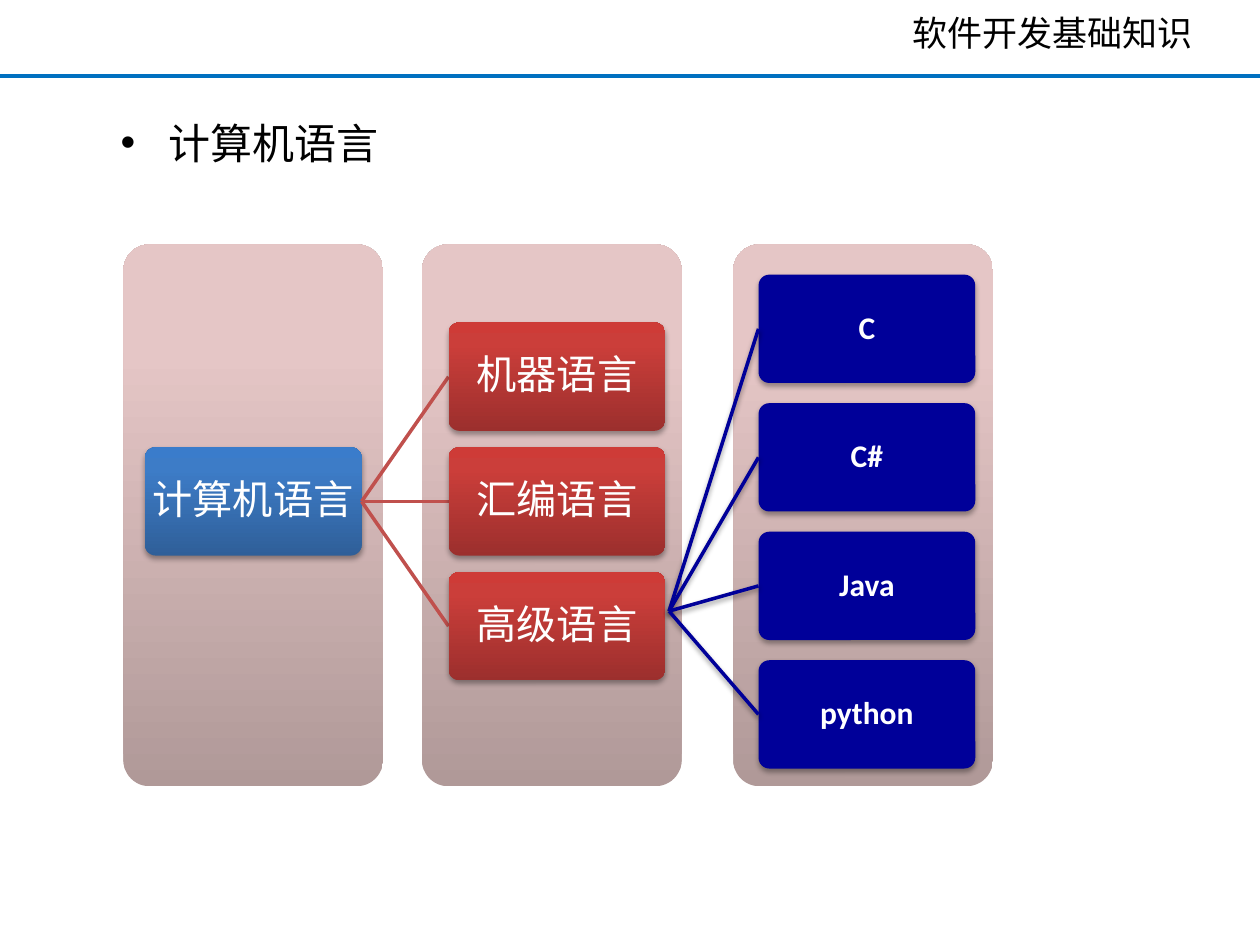
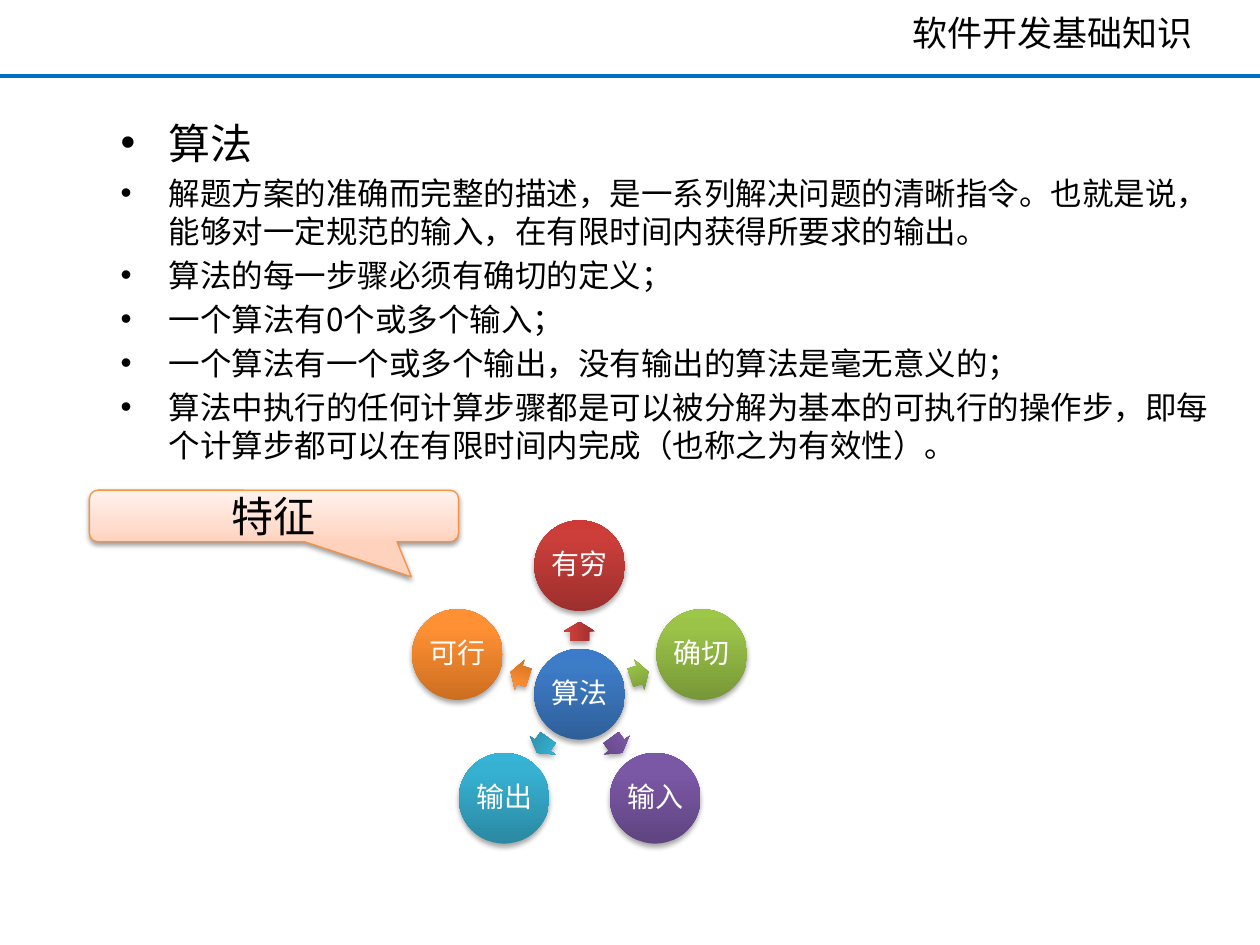
import copy
import math

import lxml.etree
import pptx
import pptx.dml.color
import pptx.enum.shapes
import pptx.enum.text
import pptx.oxml.ns
import pptx.util

Inches = pptx.util.Inches
Pt = pptx.util.Pt
RGBColor = pptx.dml.color.RGBColor
Shape = pptx.enum.shapes.MSO_SHAPE
Align = pptx.enum.text.PP_ALIGN
Anchor = pptx.enum.text.MSO_ANCHOR
qn = pptx.oxml.ns.qn

BLACK = RGBColor(0x00, 0x00, 0x00)
WHITE = RGBColor(0xFF, 0xFF, 0xFF)
RULE_BLUE = RGBColor(0x00, 0x70, 0xC0)
NAVY = RGBColor(0x00, 0x00, 0x99)
BRICK = RGBColor(0xC0, 0x50, 0x4D)
CALLOUT_EDGE = RGBColor(0xF6, 0x92, 0x40)


def gradient(start, middle, end, turn=80):
    return [(position / 100, RGBColor.from_string(color))
            for position, color in ((0, start), (turn, middle), (100, end))]


PANEL = gradient("B09998", "E5C6C6", "E6C7C6")
BLUE = gradient("2F5F99", "3D7CC7", "3A7CCB")
RED = gradient("9C2F2D", "CB3E3A", "CE3B37")
GREEN = gradient("779737", "9BC348", "9DC746")
PURPLE = gradient("5F4480", "7B58A6", "7C57A8")
TEAL = gradient("2A88A2", "37B1D2", "34B4D6")
ORANGE = gradient("CC6E20", "FF9034", "FF9136")
PEACH = gradient("FFD2BD", "FFDED0", "FFF2ED", turn=35)

CARD_SHADOW = (35, 1.8)
EDGE_SHADOW = (38, 1.6)
CARD_WIDTH, CARD_HEIGHT = 1.72, 0.86
TITLE = "软件开发基础知识"
LATIN_FONT = "Calibri"
CHINESE_FONT = "Noto Sans CJK SC"


class Lecture:
    """Holds the shared style and the page being drawn."""

    def __init__(self):
        self.deck = pptx.Presentation()
        self.deck.slide_width, self.deck.slide_height = Inches(10), Inches(7.5)
        self.page = None

    def new_page(self):
        self.page = self.deck.slides.add_slide(self.deck.slide_layouts[6])
        self.line((0, 0.6), (10, 0.6), RULE_BLUE, 2.25)
        frame = self.text_box(6.89, 0.04, 3.11, 0.44)
        frame.margin_left = Inches(0.35)
        self.set_text(frame.paragraphs[0], TITLE, 20)

    def text_box(self, left, top, width, height):
        box = self.page.shapes.add_textbox(
            Inches(left), Inches(top), Inches(width), Inches(height))
        box.text_frame.word_wrap = True
        return box.text_frame

    def set_text(self, para, text, size, color=BLACK, name=CHINESE_FONT, bold=False):
        para.text = text
        font = para.font
        font.name, font.size, font.bold = name, Pt(size), bold
        font.color.rgb = color
        lxml.etree.SubElement(para._p.pPr.find(qn("a:defRPr")), qn("a:ea"),
                              typeface=CHINESE_FONT)

    def bullets(self, heading, points=()):
        frame = self.text_box(0.86, 0.88, 9, 0.74)
        for index, text in enumerate([heading, *points]):
            para = frame.add_paragraph() if index else frame.paragraphs[0]
            para.space_before = Pt(3.6 if index else 6.8)
            properties = para._p.get_or_add_pPr()
            properties.set("marL", str(Inches(0.38)))
            properties.set("indent", str(-Inches(0.38)))
            lxml.etree.SubElement(properties, qn("a:buFont"), typeface="Arial")
            lxml.etree.SubElement(properties, qn("a:buChar"), char="•")
            self.set_text(para, text, 18 if index else 24)

    def set_shadow(self, item, shadow):
        effects = lxml.etree.SubElement(item._element.spPr, qn("a:effectLst"))
        if shadow:
            opacity, distance = shadow
            outer = lxml.etree.SubElement(
                effects, qn("a:outerShdw"), blurRad=str(Pt(3.1)),
                dist=str(Pt(distance)), dir="5400000", rotWithShape="0")
            color = lxml.etree.SubElement(outer, qn("a:srgbClr"), val=str(BLACK))
            lxml.etree.SubElement(color, qn("a:alpha"), val=str(opacity * 1000))

    def line(self, start, end, color, width=2, shadow=None):
        connector = self.page.shapes.add_connector(
            pptx.enum.shapes.MSO_CONNECTOR.STRAIGHT,
            *(Inches(value) for value in (*start, *end)))
        connector.line.color.rgb = color
        connector.line.width = Pt(width)
        self.set_shadow(connector, shadow)

    def paint(self, shape, fill):
        if isinstance(fill, RGBColor):
            shape.fill.solid()
            shape.fill.fore_color.rgb = fill
            return
        shape.fill.gradient()
        shape.fill.gradient_angle = 90
        first = shape._element.spPr.find(".//" + qn("a:gs"))
        first.addnext(copy.deepcopy(first))
        for stop, (position, color) in zip(shape.fill.gradient_stops, fill):
            stop.position = position
            stop.color.rgb = color

    def shape(self, kind, left, top, width, height, fill, adjustments=(),
              edge=None, shadow=CARD_SHADOW):
        shape = self.page.shapes.add_shape(
            kind, Inches(left), Inches(top), Inches(width), Inches(height))
        for index, value in enumerate(adjustments):
            shape.adjustments[index] = value
        self.paint(shape, fill)
        if edge:
            shape.line.color.rgb = edge
            shape.line.width = Pt(0.75)
        else:
            shape.line.fill.background()
        self.set_shadow(shape, shadow)
        return shape

    def label(self, shape, text, size, color=WHITE, name=LATIN_FONT, bold=False,
              margin=0.02, spacing=0.9):
        frame = shape.text_frame
        frame.word_wrap = True
        frame.vertical_anchor = Anchor.MIDDLE
        frame.margin_left = frame.margin_right = Inches(margin)
        frame.margin_top = frame.margin_bottom = Inches(0.02)
        para = frame.paragraphs[0]
        para.alignment = Align.CENTER
        para.line_spacing = spacing
        self.set_text(para, text, size, color, name, bold)

    def panel(self, left):
        self.shape(Shape.ROUNDED_RECTANGLE, left, 1.94, 2.06, 4.3, PANEL, [0.1],
                   shadow=None)

    def card(self, left, top, text, fill, size=23, bold=False):
        card = self.shape(Shape.ROUNDED_RECTANGLE, left, top, CARD_WIDTH,
                          CARD_HEIGHT, fill, [0.1])
        self.label(card, text, size, bold=bold)

    def disc(self, center_x, center_y, text, fill):
        size = 0.72
        disc = self.shape(Shape.OVAL, center_x - size / 2, center_y - size / 2,
                          size, size, fill)
        self.label(disc, text, 16)

    def arrow(self, center_x, center_y, angle, fill):
        width, height = 0.15, 0.25
        arrow = self.shape(Shape.RIGHT_ARROW, center_x - width / 2,
                           center_y - height / 2, width, height, fill, [0.6, 0.5])
        arrow.rotation = angle % 360


def draw_languages(lecture):
    lecture.new_page()
    lecture.bullets("计算机语言")
    for left in (0.98, 3.35, 5.82):
        lecture.panel(left)

    lecture.card(1.15, 3.55, "计算机语言", BLUE)
    for row, kind in enumerate(("机器语言", "汇编语言", "高级语言")):
        top = 2.56 + row * 0.99
        lecture.line((2.87, 3.98), (3.56, top + CARD_HEIGHT / 2), BRICK)
        lecture.card(3.56, top, kind, RED)

    for row, language in enumerate(("C", "C#", "Java", "python")):
        top = 2.18 + row * 1.02
        lecture.card(6.02, top, language, NAVY, 18, True)
        lecture.line((5.31, 4.85), (6.02, top + CARD_HEIGHT / 2), NAVY,
                     shadow=EDGE_SHADOW)


def draw_algorithm(lecture):
    lecture.new_page()
    lecture.bullets("算法", (
        "解题方案的准确而完整的描述，是一系列解决问题的清晰指令。也就是说，"
        "能够对一定规范的输入，在有限时间内获得所要求的输出。",
        "算法的每一步骤必须有确切的定义；",
        "一个算法有0个或多个输入；",
        "一个算法有一个或多个输出，没有输出的算法是毫无意义的；",
        "算法中执行的任何计算步骤都是可以被分解为基本的可执行的操作步，"
        "即每个计算步都可以在有限时间内完成（也称之为有效性）。"))
    callout = lecture.shape(Shape.ROUNDED_RECTANGULAR_CALLOUT, 0.71, 3.89, 2.93,
                            0.41, PEACH, [0.372, 1.176, 0.167], CALLOUT_EDGE,
                            EDGE_SHADOW)
    lecture.label(callout, "特征", 24, BLACK, CHINESE_FONT, margin=0.1, spacing=1.0)

    center_x, center_y = 4.6, 5.51
    lecture.disc(center_x, center_y, "算法", BLUE)
    traits = (("有穷", RED), ("确切", GREEN), ("输入", PURPLE),
              ("输出", TEAL), ("可行", ORANGE))
    for index, (trait, fill) in enumerate(traits):
        angle = index * 360 / len(traits) - 90
        across, down = math.cos(math.radians(angle)), math.sin(math.radians(angle))
        lecture.arrow(center_x + 0.5 * across, center_y + 0.5 * down, angle, fill)
        lecture.disc(center_x + 1.02 * across, center_y + 1.02 * down, trait, fill)


def main():
    lecture = Lecture()
    draw_languages(lecture)
    draw_algorithm(lecture)
    lecture.deck.save("out.pptx")


if __name__ == "__main__":
    main()
